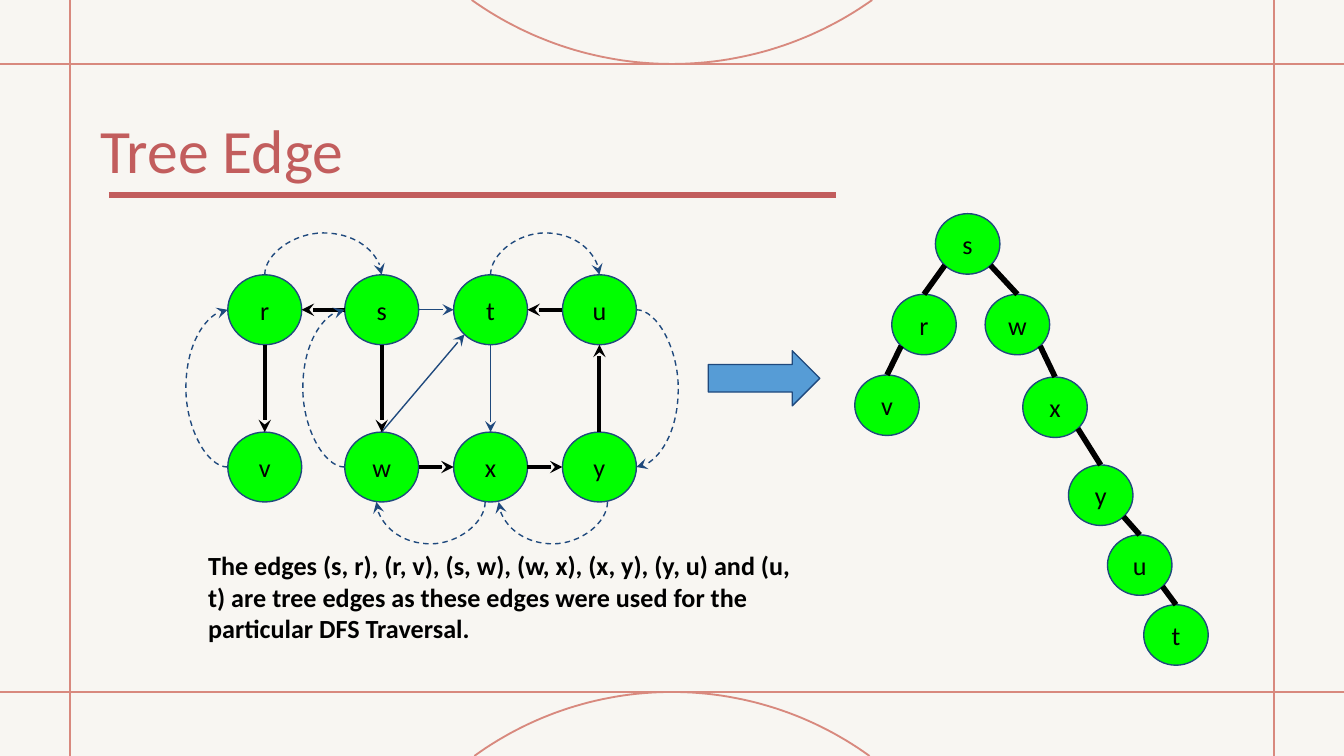
from dataclasses import dataclass
from math import asin, cos, hypot, sin

from lxml.etree import SubElement
from pptx import Presentation
from pptx.dml.color import RGBColor
from pptx.enum.dml import MSO_LINE
from pptx.enum.shapes import MSO_CONNECTOR, MSO_SHAPE
from pptx.enum.text import MSO_ANCHOR, PP_ALIGN
from pptx.oxml.ns import qn
from pptx.util import Emu, Inches, Pt

COLUMNS, ROWS = 100, 56.25
LOOP_WIDTH = 600
LOOP_ADJUST = 39687500
LOOP_TURN = {"right": 0, "bottom": 90, "left": 180, "top": 270}


@dataclass(frozen=True)
class Theme:
    font: str = "Calibri"
    paper: RGBColor = RGBColor(0xF8, 0xF6, 0xF2)
    frame: RGBColor = RGBColor(0xD8, 0x89, 0x7E)
    accent: RGBColor = RGBColor(0xC2, 0x5D, 0x5D)
    node: RGBColor = RGBColor(0x00, 0xFF, 0x00)
    outline: RGBColor = RGBColor(0x1F, 0x49, 0x7D)
    arrow: RGBColor = RGBColor(0x56, 0x9C, 0xD6)
    ink: RGBColor = RGBColor(0, 0, 0)
    title_size: int = 33
    text_size: int = 14


@dataclass(frozen=True)
class Node:
    x: float
    y: float
    width: float
    height: float

    def at(self, across, down):
        reach = hypot(across, down)
        return (self.x + across / reach * self.width / 2,
                self.y + down / reach * self.height / 2)


class SlideBuilder:
    def __init__(self, deck, theme):
        self.theme = theme
        self.unit = deck.slide_width / COLUMNS
        self.slide = deck.slides.add_slide(deck.slide_layouts[5])
        self.shapes = self.slide.shapes
        fill = self.slide.background.fill
        fill.solid()
        fill.fore_color.rgb = theme.paper

    def grid(self, *cells):
        return [Emu(round(cell * self.unit)) for cell in cells]

    def set_text(self, box, text, size, color, align=PP_ALIGN.LEFT, bold=False):
        para = box.text_frame.paragraphs[0]
        para.text = text
        para.alignment = align
        para.font.name = self.theme.font
        para.font.size = Pt(size)
        para.font.bold = bold
        para.font.color.rgb = color

    def title(self, text, *cells):
        box = self.shapes.title
        box.left, box.top, box.width, box.height = self.grid(*cells)
        frame = box.text_frame
        frame.margin_left = frame.margin_right = 0
        frame.margin_top = frame.margin_bottom = 0
        frame.vertical_anchor = MSO_ANCHOR.TOP
        self.set_text(box, text, self.theme.title_size, self.theme.accent)

    def text(self, text, *cells):
        box = self.shapes.add_textbox(*self.grid(*cells))
        frame = box.text_frame
        frame.word_wrap = True
        frame.margin_left = frame.margin_right = Inches(0.1)
        frame.margin_top = frame.margin_bottom = Inches(0.1)
        self.set_text(box, text, self.theme.text_size, self.theme.ink, bold=True)

    def shape(self, kind, fill, *cells):
        shape = self.shapes.add_shape(kind, *self.grid(*cells))
        shape.shadow.inherit = False
        shape.fill.solid()
        shape.fill.fore_color.rgb = fill
        shape.line.color.rgb = self.theme.outline
        shape.line.width = Pt(0.75)
        return shape

    def node(self, label, node):
        left, top = node.x - node.width / 2, node.y - node.height / 2
        shape = self.shape(MSO_SHAPE.OVAL, self.theme.node, left, top, node.width, node.height)
        shape.text_frame.vertical_anchor = MSO_ANCHOR.MIDDLE
        shape.text_frame.word_wrap = True
        self.set_text(shape, label, self.theme.text_size, self.theme.ink, PP_ALIGN.CENTER)

    def finish(self, connector, color, width, pointed):
        connector.line.color.rgb = color
        connector.line.width = Pt(width)
        if pointed:
            SubElement(connector.line._get_or_add_ln(), qn("a:tailEnd"), type="stealth")
        SubElement(connector._element.spPr, qn("a:effectLst"))

    def line(self, start, end, color, width, pointed=False):
        connector = self.shapes.add_connector(MSO_CONNECTOR.STRAIGHT, *self.grid(*start, *end))
        self.finish(connector, color, width, pointed)

    def loop(self, start, end, side):
        x, y, length = self.grid((start[0] + end[0]) / 2, (start[1] + end[1]) / 2,
                                 hypot(end[0] - start[0], end[1] - start[1]))
        left, top = x - LOOP_WIDTH // 2, y - length // 2
        connector = self.shapes.add_connector(
            MSO_CONNECTOR.CURVE, left, top, left + LOOP_WIDTH, top + length)
        properties = connector._element.spPr
        properties.find(qn("a:xfrm")).set("rot", str(LOOP_TURN[side] * 60000))
        adjustments = properties.find(qn("a:prstGeom")).get_or_add_avLst()
        SubElement(adjustments, qn("a:gd"), name="adj1", fmla=f"val {LOOP_ADJUST}")
        connector.line.dash_style = MSO_LINE.DASH
        self.finish(connector, self.theme.outline, 0.75, True)

    def arc(self, half_chord, depth, edge, inward):
        radius = (half_chord ** 2 + depth ** 2) / (2 * depth)
        sweep, steps = asin(half_chord / radius), 60
        angles = [sweep * (2 * step / steps - 1) for step in range(steps + 1)]
        points = [self.grid(COLUMNS / 2 + radius * sin(angle),
                            edge + inward * (depth - radius * (1 - cos(angle))))
                  for angle in angles]
        builder = self.shapes.build_freeform(*points[0])
        builder.add_line_segments(points[1:], close=False)
        curve = builder.convert_to_shape()
        curve.shadow.inherit = False
        curve.fill.background()
        curve.line.color.rgb = self.theme.frame
        curve.line.width = Pt(1)


def draw_frame(page):
    for y in (4.76, ROWS - 4.76):
        page.line((0, y), (COLUMNS, y), page.theme.frame, 1)
    for x in (5.2, COLUMNS - 5.2):
        page.line((x, 0), (x, ROWS), page.theme.frame, 1)
    page.arc(14.9, 4.76, 0, 1)
    page.arc(14.7, 4.76, ROWS, -1)


def draw_graph(page):
    theme = page.theme
    columns, rows = (19.7, 28.4, 36.5, 44.6), (23.05, 34.75)
    nodes = {label: Node(x, y, 5.5, 5.2)
             for y, labels in zip(rows, ("rstu", "vwxy"))
             for x, label in zip(columns, labels)}
    for label, node in nodes.items():
        page.node(label, node)

    page.line(nodes["w"].at(0, -1), nodes["t"].at(-1, 1), theme.outline, 0.75, True)
    plain = [(pair, theme.outline, 0.75) for pair in ("st", "tx")]
    tree = [(pair, theme.ink, 2.25) for pair in ("sr", "rv", "sw", "wx", "xy", "yu", "ut")]
    for pair, color, width in plain + tree:
        start, end = [nodes[label] for label in pair]
        across, down = end.x - start.x, end.y - start.y
        page.line(start.at(across, down), end.at(-across, -down), color, width, True)

    directions = {"left": (-1, 0), "right": (1, 0), "top": (0, -1), "bottom": (0, 1)}
    loops = (("vr", "left", 0), ("ws", "left", 0), ("rs", "top", 0), ("tu", "top", 0),
             ("uy", "right", 0), ("yx", "bottom", 0.6), ("xw", "bottom", -0.4))
    for pair, side, shift in loops:
        ends = [nodes[label].at(*directions[side]) for label in pair]
        start, end = [(x + shift, y) for x, y in ends]
        page.loop(start, end, side)


def draw_tree(page):
    centers = {"s": (72, 18.15), "r": (68.75, 24.15), "v": (66, 30.15), "w": (75.7, 24.15),
               "x": (78.5, 30.3), "y": (81.9, 36.85), "u": (84.8, 42.05), "t": (87.5, 47.25)}
    nodes = {label: Node(*center, 4.8, 4.5) for label, center in centers.items()}
    for label, node in nodes.items():
        page.node(label, node)
    for parent, child in ("sr", "rv", "sw", "wx", "xy", "yu", "ut"):
        side = 1 if nodes[child].x > nodes[parent].x else -1
        page.line(nodes[parent].at(side, 1), nodes[child].at(0, -1), page.theme.ink, 3)


def main():
    deck = Presentation()
    deck.slide_width, deck.slide_height = Inches(10), Inches(5.625)
    theme = Theme()
    page = SlideBuilder(deck, theme)
    draw_frame(page)
    page.line((8.1, 14.5), (62.2, 14.5), theme.accent, 3)
    page.title("Tree Edge", 7.5, 8.3, 54.5, 5.6)
    draw_tree(page)
    page.text("The edges (s, r), (r, v), (s, w), (w, x), (x, y), (y, u) and (u, t) are tree edges "
              "as these edges were used for the particular DFS Traversal.", 14.5, 39.9, 45.8, 8.9)
    page.shape(MSO_SHAPE.RIGHT_ARROW, theme.arrow, 52.7, 26.1, 8.3, 4.1)
    draw_graph(page)
    deck.save("out.pptx")


if __name__ == "__main__":
    main()
